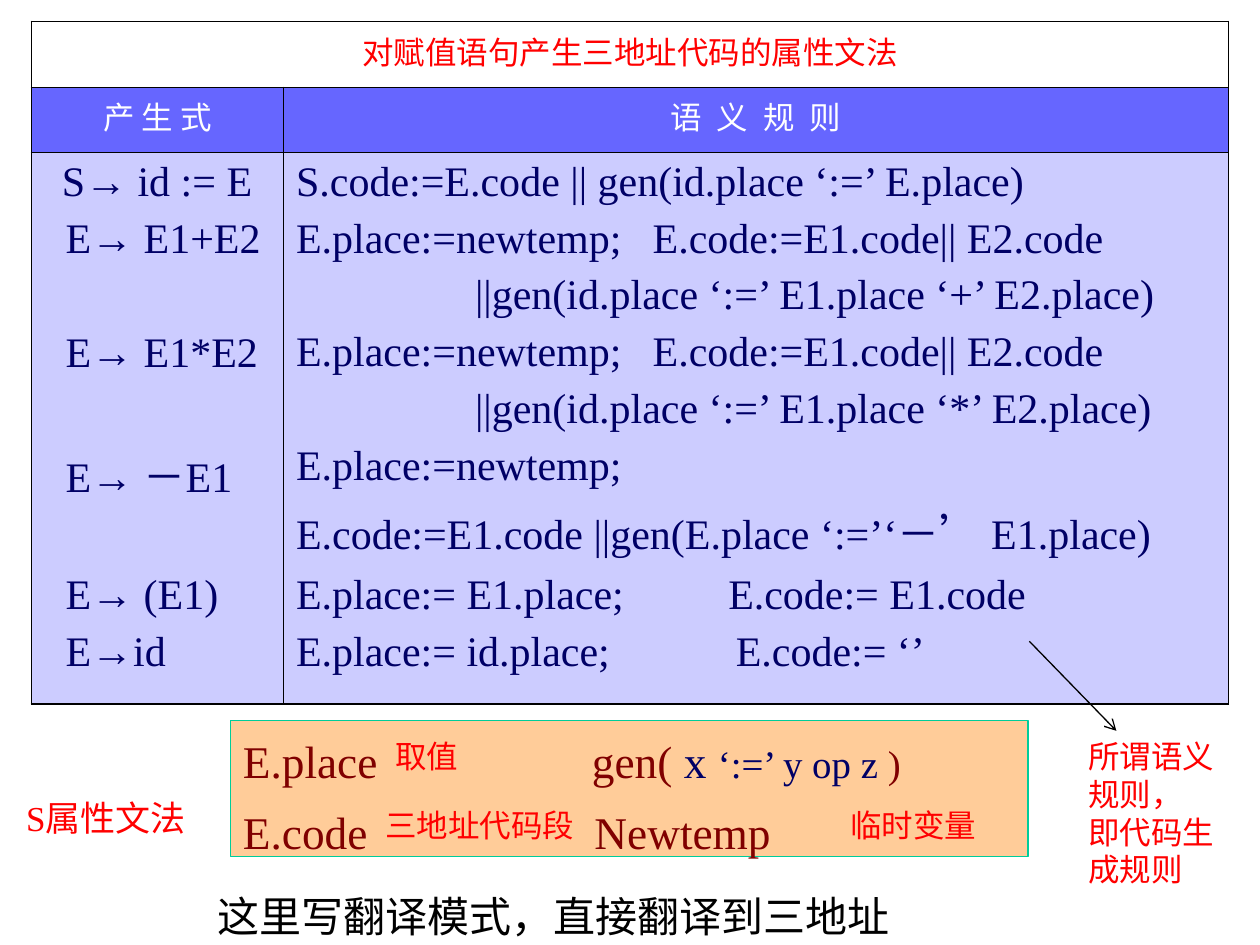
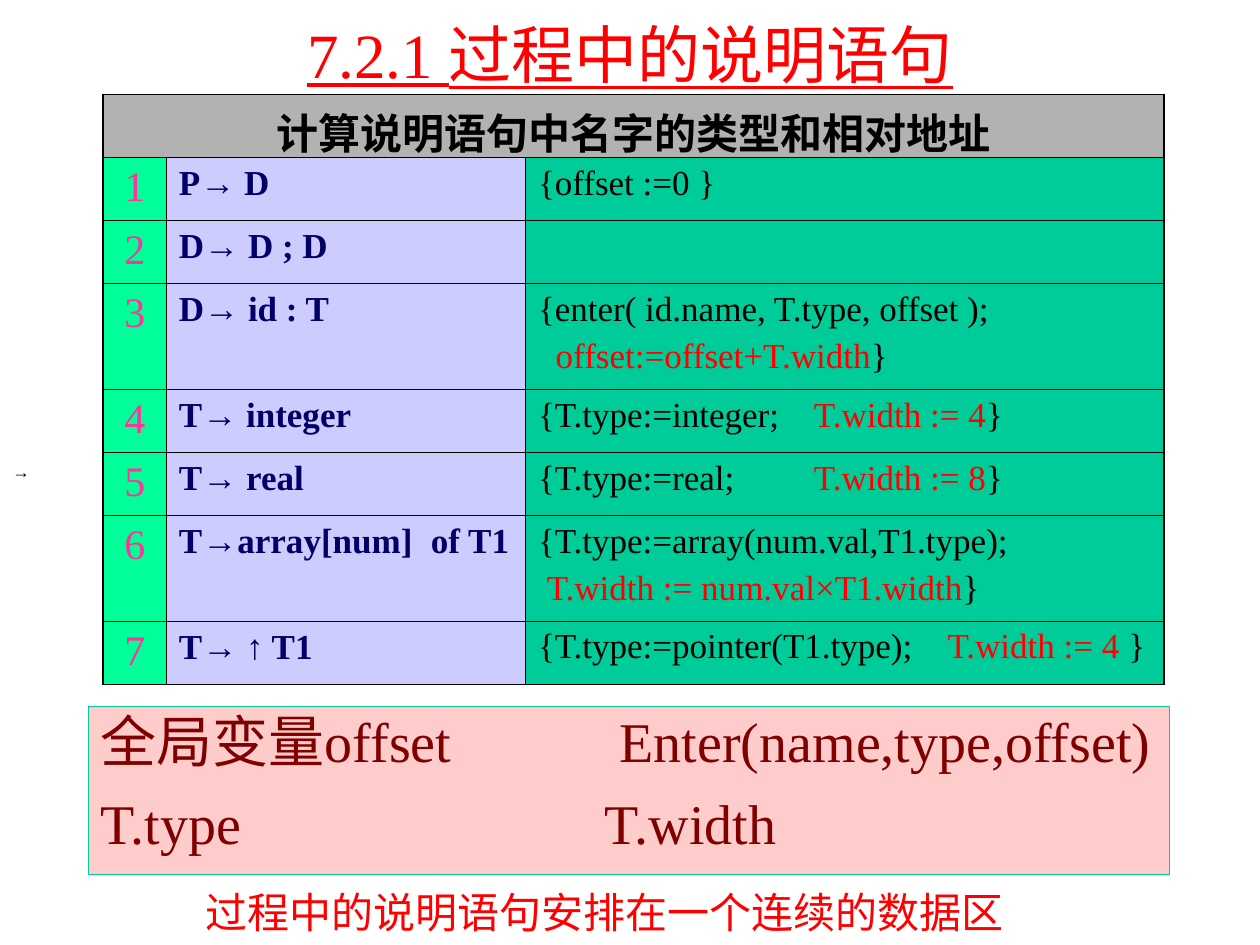
from dataclasses import dataclass, replace
from typing import Optional

import pptx
import pptx.dml.color
import pptx.enum.shapes
import pptx.enum.text
import pptx.oxml.ns
import pptx.util
from lxml import etree

Inches = pptx.util.Inches
Pt = pptx.util.Pt
qn = pptx.oxml.ns.qn
CENTER = pptx.enum.text.PP_ALIGN.CENTER
LEFT = pptx.enum.text.PP_ALIGN.LEFT
TOP = pptx.enum.text.MSO_ANCHOR.TOP
MIDDLE = pptx.enum.text.MSO_ANCHOR.MIDDLE


@dataclass(frozen=True)
class Theme:
    black: str = "000000"
    white: str = "FFFFFF"
    red: str = "FF0000"
    navy: str = "000066"
    maroon: str = "800000"
    pink: str = "FF3399"
    blue: str = "6666FF"
    lavender: str = "CCCCFF"
    gray: str = "B2B2B2"
    mint: str = "00FF99"
    green: str = "00CC99"
    orange: str = "FFCC99"
    rose: str = "FFCCCC"
    font: str = "Times New Roman"
    symbol_font: str = "Arial"
    title: float = 36
    box: float = 32
    legend: float = 25.9
    body: float = 24
    operands: float = 22.2
    rule: float = 20
    note: float = 18
    tiny: float = 10
    outer_border: float = 1.08
    inner_border: float = 0.45
    outline: float = 0.75


THEME = Theme()


@dataclass(frozen=True)
class Style:
    size: float
    color: str
    bold: bool = False
    underline: bool = False
    font: str = THEME.font
    spacing: float = 0


@dataclass(frozen=True)
class Run:
    text: str
    style: Style


@dataclass(frozen=True)
class Line:
    runs: tuple[Run, ...]
    before: float = 0
    align: int = LEFT
    indent: float = 0
    tab: float = 0


@dataclass(frozen=True)
class Cell:
    lines: tuple[Line, ...] = ()
    fill: Optional[str] = None


@dataclass(frozen=True)
class Box:
    left: float
    top: float
    width: float
    height: float


@dataclass(frozen=True)
class Label:
    box: Box
    lines: tuple[Line, ...]
    wrap: bool = True
    anchor: int = TOP


TITLE = Style(THEME.title, THEME.red, underline=True)
NOTE = Style(THEME.note, THEME.red)
HEADER = Style(THEME.note, THEME.white)
GRAMMAR = Style(THEME.body, THEME.navy)
LEGEND = Style(THEME.legend, THEME.maroon)
BIG = Style(THEME.box, THEME.maroon)
TABLE_TITLE = Style(THEME.body, THEME.black, bold=True)
NUMBER = Style(THEME.body, THEME.pink)
PRODUCTION = Style(THEME.rule, THEME.navy, bold=True)
ACTION = Style(THEME.rule, THEME.black)
WIDTH = Style(THEME.rule, THEME.red)


def line(text: str, style: Style, **layout) -> Line:
    return Line((Run(text, style),), **layout)


def rgb(color: str) -> pptx.dml.color.RGBColor:
    return pptx.dml.color.RGBColor.from_string(color)


def place(box: Box) -> tuple:
    return tuple(Inches(value) for value in (box.left, box.top, box.width, box.height))


def write_lines(frame, lines: tuple[Line, ...]) -> None:
    for index, item in enumerate(lines):
        paragraph = frame.add_paragraph() if index else frame.paragraphs[0]
        properties = paragraph._p.get_or_add_pPr()
        if item.indent:
            properties.set("marL", str(Inches(item.indent)))
            properties.set("indent", "0")
        if item.tab:
            tabs = etree.SubElement(properties, qn("a:tabLst"))
            etree.SubElement(tabs, qn("a:tab"), pos=str(Inches(item.tab)), algn="l")
        paragraph.alignment = item.align
        paragraph.space_before = Pt(item.before if index else 0)
        for part in item.runs:
            run = paragraph.add_run()
            run.text = part.text
            run.font.name = part.style.font
            run.font.size = Pt(part.style.size)
            run.font.bold = part.style.bold
            run.font.underline = part.style.underline
            run.font.color.rgb = rgb(part.style.color)
            if part.style.spacing:
                run._r.get_or_add_rPr().set("spc", str(round(part.style.spacing * 100)))


def add_label(slide, label: Label) -> None:
    frame = slide.shapes.add_textbox(*place(label.box)).text_frame
    frame.word_wrap = label.wrap
    frame.vertical_anchor = label.anchor
    write_lines(frame, label.lines)


def add_panel(slide, box: Box, fill: str, lines: tuple[Line, ...], top_inset: float) -> None:
    shape = slide.shapes.add_shape(pptx.enum.shapes.MSO_SHAPE.RECTANGLE, *place(box))
    shape.shadow.inherit = False
    shape.fill.solid()
    shape.fill.fore_color.rgb = rgb(fill)
    shape.line.color.rgb = rgb(THEME.green)
    shape.line.width = Pt(THEME.outline)
    frame = shape.text_frame
    frame.word_wrap = True
    frame.vertical_anchor = TOP
    frame.margin_top = Inches(top_inset)
    write_lines(frame, lines)


def add_arrow(slide, start: tuple[float, float], end: tuple[float, float]) -> None:
    connector = slide.shapes.add_connector(
        pptx.enum.shapes.MSO_CONNECTOR.STRAIGHT, *(Inches(value) for value in start + end))
    connector.line.color.rgb = rgb(THEME.black)
    connector.line.width = Pt(THEME.outline)
    etree.SubElement(connector.line._get_or_add_ln(), qn("a:tailEnd"), type="arrow")
    etree.SubElement(connector._element.spPr, qn("a:effectLst"))


def set_borders(cell, outer_edges: dict[str, bool]) -> None:
    properties = cell._tc.get_or_add_tcPr()
    for side, outer in outer_edges.items():
        width = THEME.outer_border if outer else THEME.inner_border
        border = etree.SubElement(properties, qn(f"a:ln{side}"), w=str(Pt(width)))
        fill = etree.SubElement(border, qn("a:solidFill"))
        etree.SubElement(fill, qn("a:srgbClr"), val=THEME.black)


def add_grid(slide, left: float, top: float, widths: tuple[float, ...],
             heights: tuple[float, ...], title: Cell, rows: list[tuple[Cell, ...]]) -> None:
    box = Box(left, top, sum(widths), sum(heights))
    table = slide.shapes.add_table(len(heights), len(widths), *place(box)).table
    table.first_row = table.horz_banding = False
    for column, width in zip(table.columns, widths):
        column.width = Inches(width)
    for row, height in zip(table.rows, heights):
        row.height = Inches(height)
    title_row = (title,) + (Cell(fill=title.fill),) * (len(widths) - 1)
    for r, cells in enumerate([title_row] + rows):
        for c, content in enumerate(cells):
            cell = table.cell(r, c)
            set_borders(cell, {"L": c == 0, "R": r == 0 or c == len(widths) - 1,
                               "T": r == 0, "B": r == len(heights) - 1})
            if content.fill:
                cell.fill.solid()
                cell.fill.fore_color.rgb = rgb(content.fill)
            else:
                cell.fill.background()
            write_lines(cell.text_frame, content.lines)
    table.cell(0, 0).merge(table.cell(0, len(widths) - 1))


def build_assignment_slide(slide) -> None:
    skipped_row = 38.6
    productions = (
        ("S→ id := E", 0), ("E→ E1+E2", 6), ("E→ E1*E2", skipped_row),
        ("E→ －E1", skipped_row), ("E→ (E1)", skipped_row), ("E→id", 6),
    )
    rules = (
        ("S.code:=E.code || gen(id.place ‘:=’ E.place)", 0, 0),
        ("E.place:=newtemp;\tE.code:=E1.code|| E2.code", 0, 2.83),
        ("||gen(id.place ‘:=’ E1.place ‘+’ E2.place)", 1.42, 0),
        ("E.place:=newtemp;\tE.code:=E1.code|| E2.code", 0, 2.83),
        ("||gen(id.place ‘:=’ E1.place ‘*’ E2.place)", 1.42, 0),
        ("E.place:=newtemp;", 0, 0),
        ("E.code:=E1.code ||gen(E.place ‘:=’‘－’ E1.place)", 0, 0),
        ("E.place:= E1.place;\tE.code:= E1.code", 0, 3.43),
        ("E.place:= id.place;\tE.code:= ‘’", 0, 3.49),
    )
    left_lines = tuple(line(text, GRAMMAR, before=before, indent=0.17 if before else 0.14)
                       for text, before in productions)
    right_lines = tuple(line(text, GRAMMAR, before=6, indent=indent, tab=tab)
                        for text, indent, tab in rules)
    add_grid(
        slide, 0.25, 0.17, (2, 7.5), (0.52, 0.52, 4.38),
        Cell((line("对赋值语句产生三地址代码的属性文法", NOTE, align=CENTER),)),
        [(Cell((line("产 生 式", HEADER, align=CENTER),), THEME.blue),
          Cell((line("语 义 规 则", replace(HEADER, spacing=2.25), align=CENTER),), THEME.blue)),
         (Cell(left_lines, THEME.lavender), Cell(right_lines, THEME.lavender))])
    add_panel(slide, Box(1.83, 5.72, 6.33, 1.08), THEME.orange, (
        Line((Run("E.place\tgen( ", LEGEND), Run("x ", replace(LEGEND, color=THEME.navy)),
              Run("‘:=’ y op z ", Style(THEME.operands, THEME.navy)),
              Run(")", replace(LEGEND, size=THEME.operands))), tab=2.77),
        line("E.code\tNewtemp", LEGEND, before=9.6, tab=2.79)), 0.1)
    add_arrow(slide, (8.17, 5.09), (8.86, 5.8))
    labels = (
        Label(Box(8.54, 5.8, 1.34, 1.3),
              (line("所谓语义规则，", NOTE), line("即代码生成规则", NOTE))),
        Label(Box(3.04, 5.8, 0.7, 0.4), (line("取值", NOTE),), wrap=False),
        Label(Box(2.96, 6.35, 1.7, 0.4), (line("三地址代码段", NOTE),), wrap=False),
        Label(Box(6.65, 6.35, 1.2, 0.4), (line("临时变量", NOTE),), wrap=False),
        Label(Box(0.11, 6.27, 1.53, 0.44),
              (line("S属性文法", Style(THEME.rule, THEME.red)),), wrap=False),
        Label(Box(1.63, 7.02, 7.07, 0.5),
              (line("这里写翻译模式，直接翻译到三地址", Style(THEME.body, THEME.black)),)),
    )
    for label in labels:
        add_label(slide, label)


def action(opening: str, width: str, closing: str = "}", tab: float = 0) -> Line:
    return Line((Run(opening, ACTION), Run(width, WIDTH), Run(closing, ACTION)), tab=tab)


def width_line(width: str, indent: float) -> Line:
    return Line((Run(width, WIDTH), Run("}", ACTION)), before=5, indent=indent)


def build_declaration_slide(slide) -> None:
    add_label(slide, Label(Box(0.75, 0.17, 8.5, 0.5),
                           (line("7.2.1 过程中的说明语句", TITLE, align=CENTER),), anchor=MIDDLE))
    add_panel(slide, Box(0.7, 5.61, 8.58, 1.33), THEME.rose, (
        line("全局变量offset\tEnter(name,type,offset)", BIG, tab=4.12),
        line("T.type\tT.width", BIG, before=8, tab=4)), 0)
    pointer = Line((Run("T→ ", PRODUCTION),
                    Run("↑", replace(PRODUCTION, font=THEME.symbol_font)),
                    Run(" T1", PRODUCTION)))
    productions = (
        (line("P→ D", PRODUCTION), (line("{offset :=0 }", ACTION),)),
        (line("D→ D ; D", PRODUCTION), ()),
        (line("D→ id : T", PRODUCTION),
         (line("{enter( id.name, T.type, offset );", ACTION),
          width_line("offset:=offset+T.width", 0.14))),
        (line("T→ integer", PRODUCTION),
         (action("{T.type:=integer;\t", "T.width := 4", tab=2.19),)),
        (line("T→ real", PRODUCTION),
         (action("{T.type:=real;\t", "T.width := 8", tab=2.19),)),
        (line("T→array[num]\tof T1", PRODUCTION, tab=2),
         (line("{T.type:=array(num.val,T1.type);", ACTION),
          width_line("T.width := num.val×T1.width", 0.07))),
        (pointer, (action("{T.type:=pointer(T1.type);\t", "T.width := 4 ", tab=3.25),)),
    )
    rows = [(Cell((line(str(number), NUMBER, align=CENTER),), THEME.mint),
             Cell((production,), THEME.lavender), Cell(actions, THEME.green))
            for number, (production, actions) in enumerate(productions, 1)]
    heights = (0.5,) + tuple(0.84 if len(actions) > 1 else 0.5 for _, actions in productions)
    add_grid(slide, 0.82, 0.75, (0.5, 2.85, 5.07), heights,
             Cell((line("计算说明语句中名字的类型和相对地址", TABLE_TITLE, align=CENTER),),
                  THEME.gray), rows)
    add_label(slide, Label(Box(0, 3.61, 10, 0.29), (line("→", Style(THEME.tiny, THEME.black)),)))
    add_label(slide, Label(Box(1.53, 6.99, 8.11, 0.5), (
        line("过程中的说明语句安排在一个连续的数据区", Style(THEME.body, THEME.red)),)))


def main() -> None:
    presentation = pptx.Presentation()
    presentation.slide_width = Inches(10)
    presentation.slide_height = Inches(7.5)
    for build in (build_assignment_slide, build_declaration_slide):
        build(presentation.slides.add_slide(presentation.slide_layouts[6]))
    presentation.save("out.pptx")


if __name__ == "__main__":
    main()
